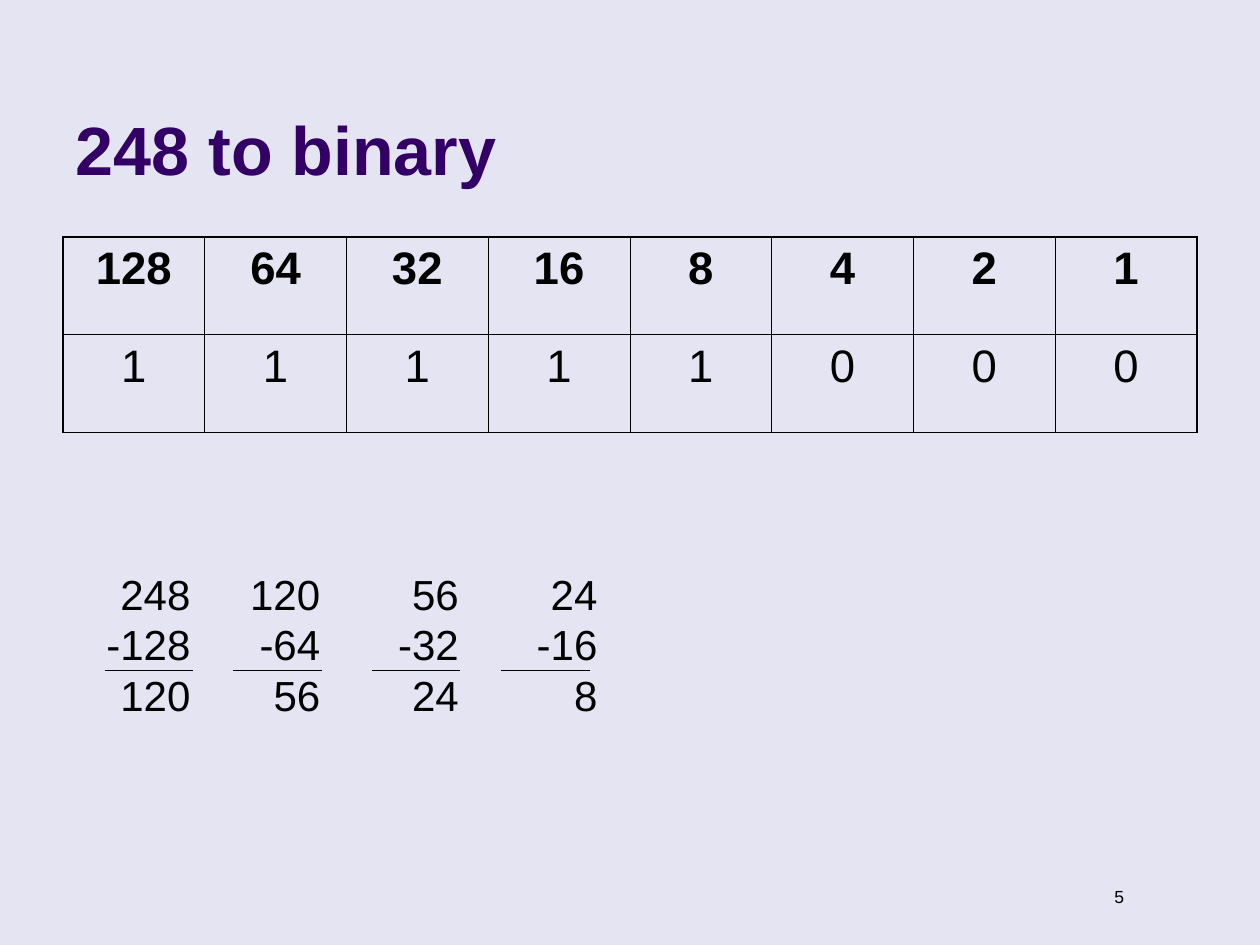
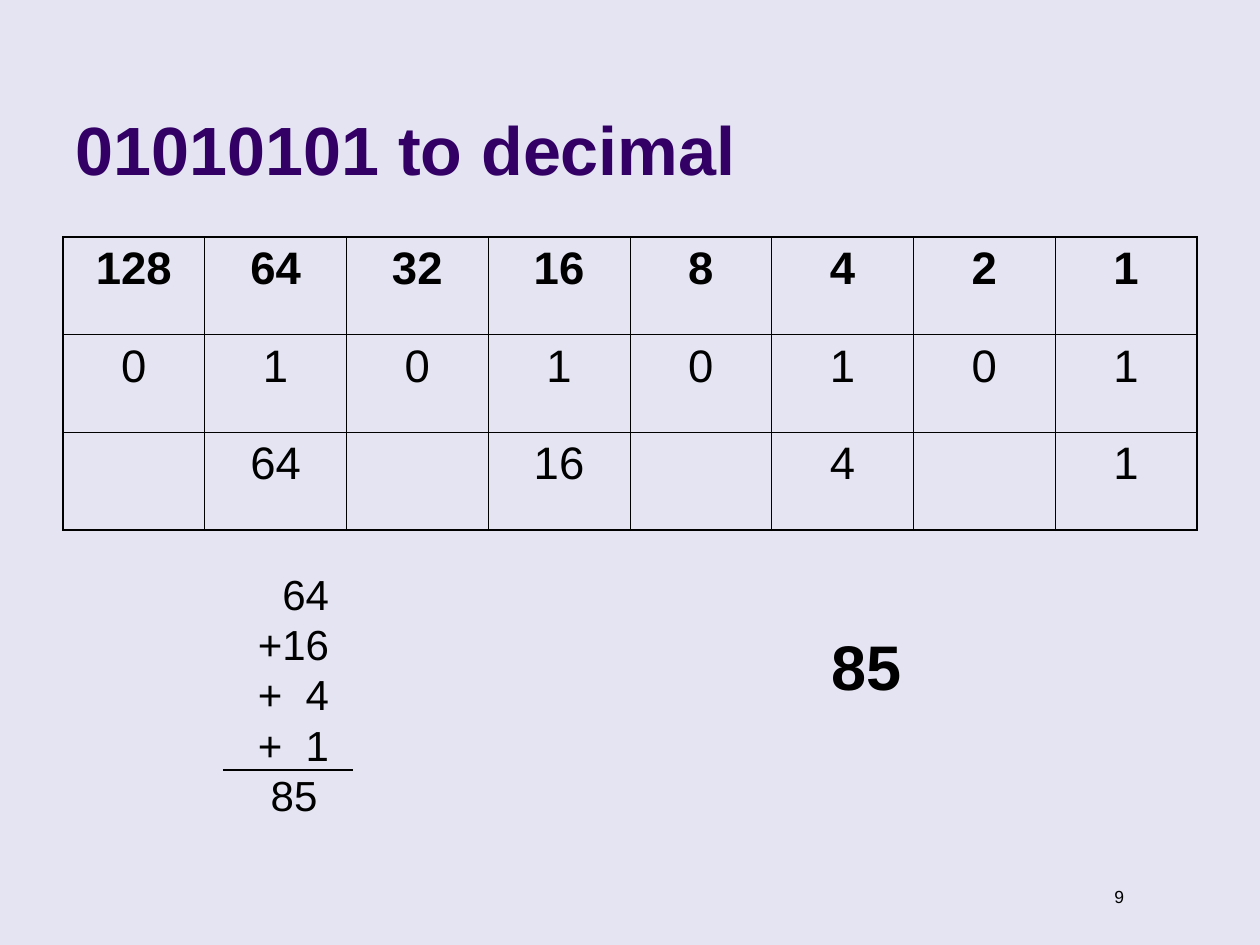
"""Build two slides on converting between binary and decimal."""
import dataclasses

import lxml.etree
import pptx
import pptx.dml.color
import pptx.enum.shapes
import pptx.enum.text
import pptx.oxml.ns
import pptx.util

ALIGN = pptx.enum.text.PP_ALIGN
FIT = pptx.enum.text.MSO_AUTO_SIZE


@dataclasses.dataclass(frozen=True)
class Theme:
    """Colours, type sizes and line widths shared by the slides."""
    font: str = "Arial"
    ground: str = "E4E4F2"
    title: str = "330066"
    ink: str = "000000"
    title_size: int = 39
    answer_size: int = 36
    cell_size: int = 26
    sum_size: int = 24
    number_size: int = 10
    outer_line: float = 1.08
    inner_line: float = 0.45
    rule_line: float = 0.74


THEME = Theme()
WIDTH = pptx.util.Inches(10)
HEIGHT = pptx.util.Inches(7.5)
PLACE_VALUES = [str(2 ** power) for power in range(7, -1, -1)]
ROW_SHARE = 10.35


def across(share):
    """Return a percentage of the slide width as a length."""
    return round(WIDTH * share / 100)


def down(share):
    """Return a percentage of the slide height as a length."""
    return round(HEIGHT * share / 100)


def frame(left, top, width, height):
    """Return a frame given in percentages of the slide as lengths."""
    return across(left), down(top), across(width), down(height)


def colour(code):
    """Return a colour from its hexadecimal code."""
    return pptx.dml.color.RGBColor.from_string(code)


def assign(target, values):
    """Set every attribute named in a dict of format values."""
    for name, value in values.items():
        setattr(target, name, value)


def write(text_frame, text, size, align=ALIGN.LEFT, bold=False, ink=THEME.ink):
    """Write one paragraph, with line breaks, in the theme font."""
    para = text_frame.paragraphs[0]
    para.text = text
    para.alignment = align
    look = {"name": THEME.font, "size": pptx.util.Pt(size), "bold": bold}
    for span in para.runs:
        assign(span.font, look)
        span.font.color.rgb = colour(ink)


def add_text(shapes, place, text, size, **look):
    """Add a wrapping text box that fits its text."""
    box = shapes.add_textbox(*frame(*place))
    assign(box.text_frame, {"word_wrap": True, "auto_size": FIT.SHAPE_TO_FIT_TEXT})
    write(box.text_frame, text, size, **look)


def add_rule(shapes, left, right, top):
    """Add a thin horizontal rule."""
    straight = pptx.enum.shapes.MSO_CONNECTOR.STRAIGHT
    rule = shapes.add_connector(
        straight, across(left), down(top), across(right), down(top))
    rule.line.width = pptx.util.Pt(THEME.rule_line)
    rule.line.color.rgb = colour(THEME.ink)
    lxml.etree.SubElement(
        rule.element.spPr, pptx.oxml.ns.qn("a:effectLst"))


def add_sum(page, place, lines, rule):
    """Add a column sum grouped with the rule above its result."""
    group = page.shapes.add_group_shape()
    add_text(group.shapes, place, "\n".join(lines), THEME.sum_size, align=ALIGN.RIGHT)
    add_rule(group.shapes, *rule)


def add_borders(cell, outer_sides):
    """Draw the four cell borders, heavier on the outer sides."""
    properties = cell._tc.get_or_add_tcPr()
    qualified = pptx.oxml.ns.qn
    for position, side in enumerate("LRTB"):
        width = THEME.outer_line if side in outer_sides else THEME.inner_line
        line = lxml.etree.Element(
            qualified("a:ln" + side), w=str(pptx.util.Pt(width)))
        fill = lxml.etree.SubElement(line, qualified("a:solidFill"))
        lxml.etree.SubElement(fill, qualified("a:srgbClr"), val=THEME.ink)
        properties.insert(position, line)


def add_bit_table(page, *rows):
    """Add a table of place values over the given rows."""
    rows = [PLACE_VALUES, *rows]
    last_row, last_column = len(rows) - 1, len(PLACE_VALUES) - 1
    place = frame(5, 25.07, 90, ROW_SHARE * len(rows))
    table = page.shapes.add_table(len(rows), len(PLACE_VALUES), *place).table
    assign(table, {"first_row": False, "horz_banding": False})
    for row_index, values in enumerate(rows):
        for column_index, value in enumerate(values):
            cell = table.cell(row_index, column_index)
            cell.fill.background()
            edges = {"L": column_index == 0, "R": column_index == last_column,
                     "T": row_index == 0, "B": row_index == last_row}
            add_borders(cell, [side for side, outer in edges.items() if outer])
            write(cell.text_frame, value, THEME.cell_size,
                  align=ALIGN.CENTER, bold=row_index == 0)


def add_page(deck, title, number):
    """Add a title-only page with its title and page number."""
    page = deck.slides.add_slide(deck.slide_layouts.get_by_name("Title Only"))
    heading = page.shapes.title
    names = ("left", "top", "width", "height")
    assign(heading, dict(zip(names, frame(5, 1.73, 82.5, 18.93))))
    assign(heading.text_frame, {
        "vertical_anchor": pptx.enum.text.MSO_ANCHOR.BOTTOM,
        "auto_size": FIT.NONE})
    write(heading.text_frame, title, THEME.title_size, bold=True, ink=THEME.title)
    add_text(page.shapes, (83.9, 93.07, 6.3, 3.6), str(number),
             THEME.number_size, align=ALIGN.RIGHT)
    return page


def build_to_binary(deck):
    """Build the page that subtracts place values from 248."""
    page = add_page(deck, "248 to binary", 5)
    add_bit_table(page, "11111000")
    remainder = 248
    columns = [(128, 4.3, 8.3), (64, 14.6, 18.5), (32, 25.6, 29.5), (16, 36.6, 39.8)]
    for value, left, rule_left in columns:
        lines = [str(remainder), f"-{value}", str(remainder - value)]
        add_sum(page, (left, 59.47, 11.8, 17.33), lines,
                (rule_left, rule_left + 7.05, 70.93))
        remainder -= value


def build_to_decimal(deck):
    """Build the page that adds up the place values of 01010101."""
    page = add_page(deck, "01010101 to decimal", 9)
    bits = "01010101"
    chosen = [value if bit == "1" else "" for bit, value in zip(bits, PLACE_VALUES)]
    add_bit_table(page, bits, chosen)
    add_sum(page, (17.7, 59.47, 9.4, 28),
            ["64", "+16", "+\u20074", "+\u20071", "85 "], (17.7, 28, 81.47))
    add_text(page.shapes, (65, 65.73, 16.5, 9.33), "85", THEME.answer_size, bold=True)


def main():
    """Build and save the deck."""
    deck = pptx.Presentation()
    assign(deck, {"slide_width": WIDTH, "slide_height": HEIGHT})
    ground = deck.slide_master.background.fill
    ground.solid()
    ground.fore_color.rgb = colour(THEME.ground)
    build_to_binary(deck)
    build_to_decimal(deck)
    deck.save("out.pptx")


main()
